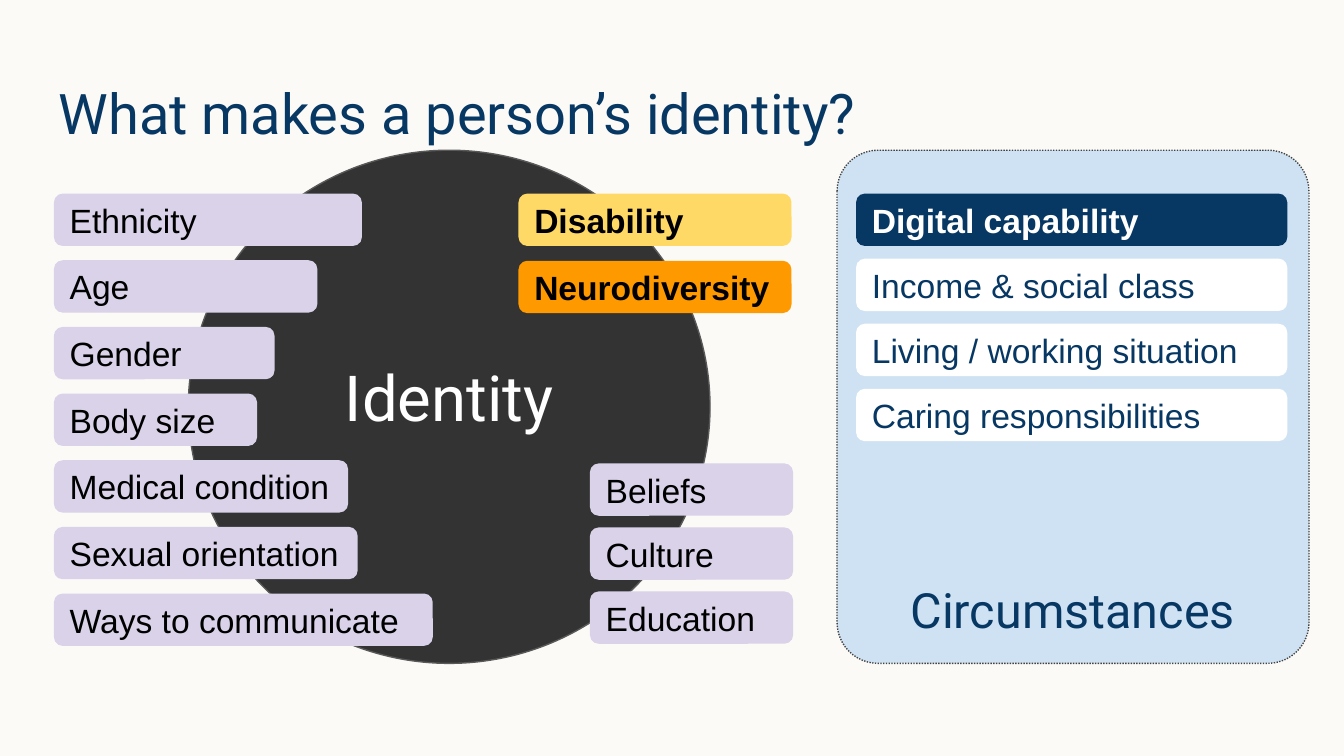
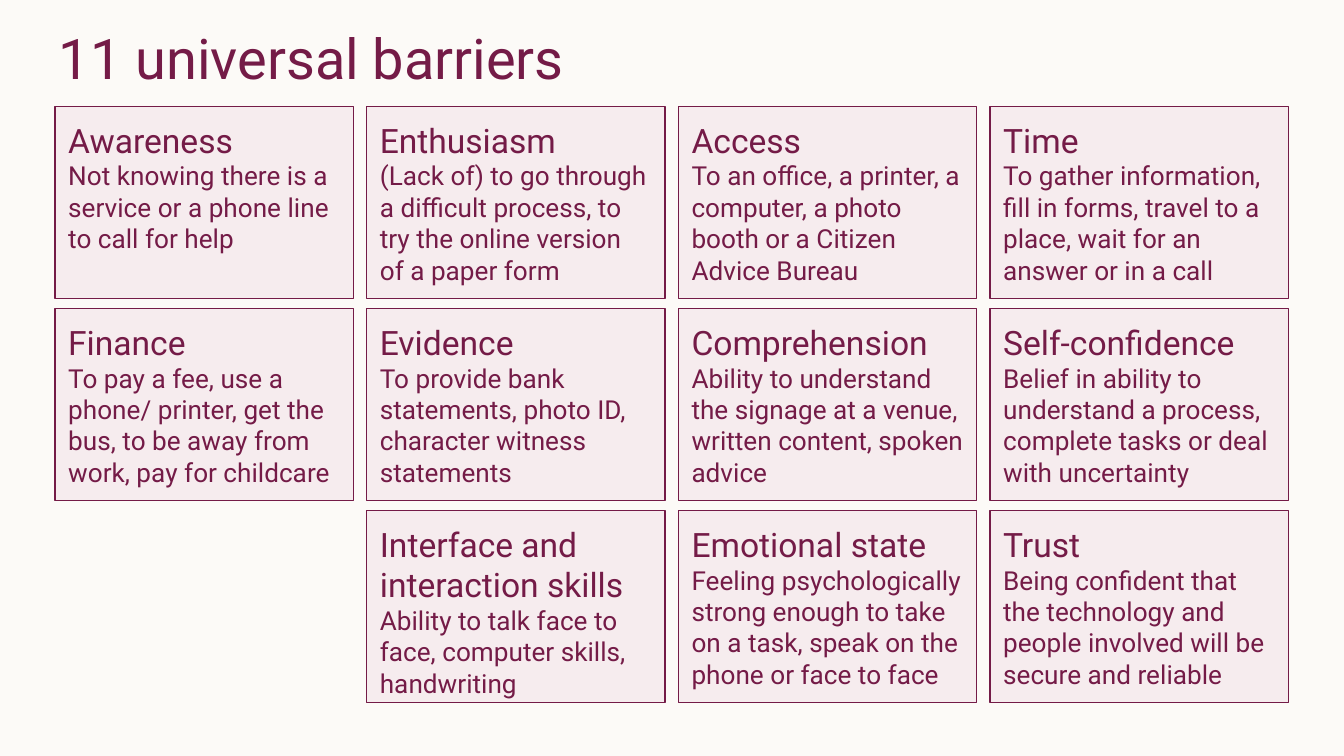
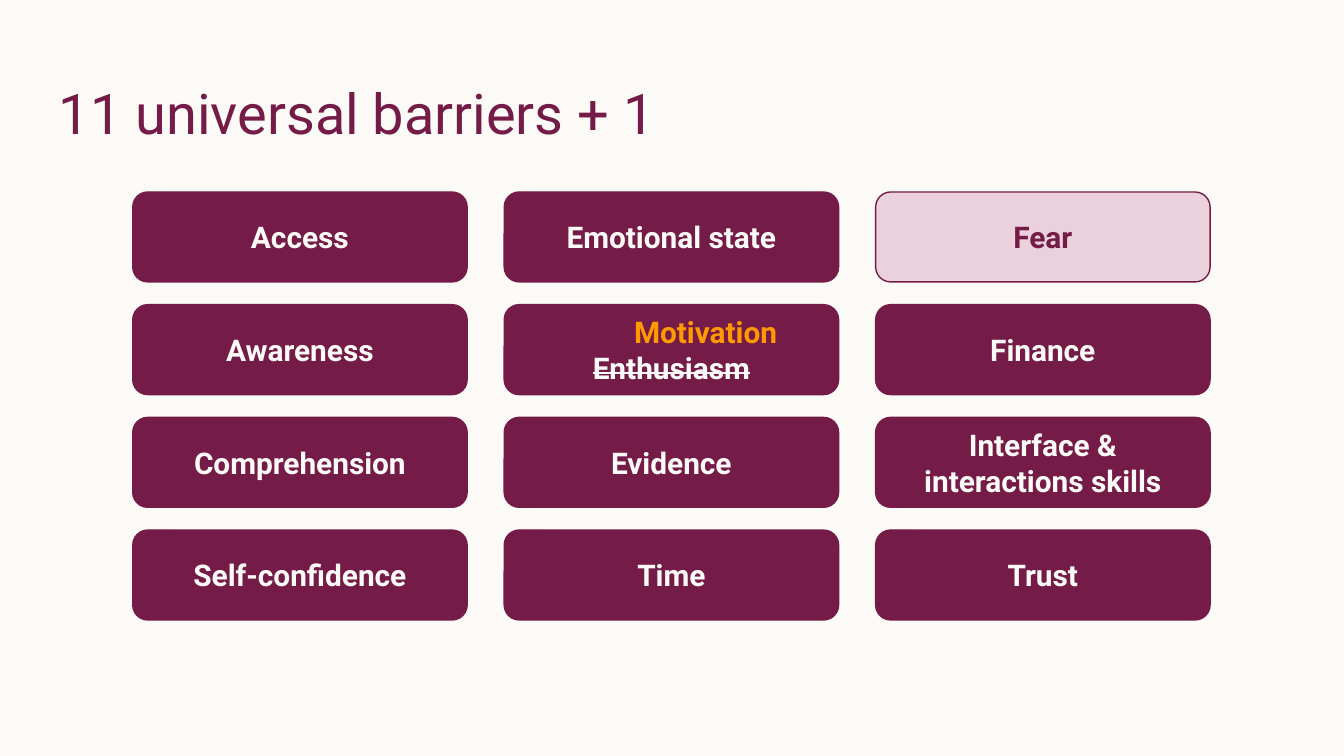
from dataclasses import dataclass

from lxml import etree
from pptx import Presentation
from pptx import util as u
from pptx.dml.color import RGBColor
from pptx.enum import dml, shapes, text
from pptx.oxml.ns import qn


@dataclass(frozen=True)
class Theme:
    paper: str = "FCFAF7"
    white: str = "FFFFFF"
    black: str = "000000"
    charcoal: str = "333333"
    grey: str = "595959"
    dark_grey: str = "434343"
    navy: str = "073763"
    sky: str = "CFE2F3"
    lilac: str = "D9D2E9"
    yellow: str = "FFD966"
    orange: str = "FF9900"
    plum: str = "741B47"
    pink: str = "EAD1DC"
    heading_font: str = "Roboto"
    label_font: str = "Arial"
    title_size: int = 30
    circle_size: int = 34
    panel_size: int = 26
    label_size: int = 18
    button_size: int = 16
    body_size: int = 14
    line_width: float = 0.75
    inset: float = 0.25


THEME = Theme()
LEFT, CENTER = text.PP_ALIGN.LEFT, text.PP_ALIGN.CENTER
TOP, MIDDLE, BOTTOM = (text.MSO_ANCHOR.TOP, text.MSO_ANCHOR.MIDDLE,
                       text.MSO_ANCHOR.BOTTOM)
RECTANGLE = shapes.MSO_SHAPE.RECTANGLE
ROUNDED = shapes.MSO_SHAPE.ROUNDED_RECTANGLE

# Slide content
LEFT_TRAITS = [("Ethnicity", 5.82), ("Age", 4.98), ("Gender", 4.17),
               ("Body size", 3.84), ("Medical condition", 5.56),
               ("Sexual orientation", 5.74), ("Ways to communicate", 7.16)]
RIGHT_TRAITS = ["Beliefs", "Culture", "Education"]
CIRCUMSTANCES = ["Digital capability", "Income & social class",
                 "Living / working situation", "Caring responsibilities"]
BARRIER_ROWS = [
    [("Awareness", "Not knowing there is a service or a phone line to call for help"),
     ("Enthusiasm", "(Lack of) to go through a difficult process, to try the online "
                    "version of a paper form"),
     ("Access", "To an office, a printer, a computer, a photo booth or a Citizen "
                "Advice Bureau"),
     ("Time", "To gather information, fill in forms, travel to a place, wait for an "
              "answer or in a call")],
    [("Finance", "To pay a fee, use a phone/ printer, get the bus, to be away from "
                 "work, pay for childcare"),
     ("Evidence", "To provide bank statements, photo ID, character witness statements"),
     ("Comprehension", "Ability to understand the signage at a venue, written content, "
                       "spoken advice"),
     ("Self-confidence", "Belief in ability to understand a process, complete tasks or "
                         "deal with uncertainty")],
    [None,
     ("Interface and interaction skills", "Ability to talk face to face, computer "
                                          "skills, handwriting"),
     ("Emotional state", "Feeling psychologically strong enough to take on a task, "
                         "speak on the phone or face to face"),
     ("Trust", "Being confident that the technology and people involved will be secure "
               "and reliable")],
]
BUTTON_ROWS = [["Access", "Emotional state", "Fear"],
               ["Awareness", "Motivation\nEnthusiasm", "Finance"],
               ["Comprehension", "Evidence", "Interface & interactions skills"],
               ["Self-confidence", "Time", "Trust"]]


# Element builders
def rgb(color):
    return RGBColor.from_string(color)


def write(shape, content, size, color, font=THEME.heading_font, bold=False,
          align=LEFT, anchor=MIDDLE):
    frame = shape.text_frame
    frame.text = content
    frame.word_wrap = True
    frame.vertical_anchor = anchor
    frame.margin_left = frame.margin_right = u.Cm(THEME.inset)
    frame.margin_top = frame.margin_bottom = u.Cm(THEME.inset)
    for paragraph in frame.paragraphs:
        paragraph.alignment = align
        for run in paragraph.runs:
            run.font.name = font
            run.font.size = u.Pt(size)
            run.font.bold = bold
            run.font.color.rgb = rgb(color)
    return frame


def add_box(slide, kind, left, top, width, height, fill, line=None, corner=None):
    shape = slide.shapes.add_shape(kind, u.Cm(left), u.Cm(top), u.Cm(width),
                                   u.Cm(height))
    shape.shadow.inherit = False
    shape.fill.solid()
    shape.fill.fore_color.rgb = rgb(fill)
    if line:
        shape.line.color.rgb = rgb(line)
        shape.line.width = u.Pt(THEME.line_width)
    else:
        shape.line.fill.background()
    if corner:
        shape.adjustments[0] = corner
    return shape


def set_opacity(shape, percent):
    color = shape.fill._xPr.find(qn("a:solidFill"))[0]
    etree.SubElement(color, qn("a:alpha")).set("val", str(percent * 1000))


def add_title(slide, content, color, top=1.24, height=1.6):
    box = slide.shapes.add_textbox(u.Cm(0.86), u.Cm(top), u.Cm(23.67), u.Cm(height))
    write(box, content, THEME.title_size, color, anchor=TOP)


def add_label(slide, content, left, top, width, fill=THEME.lilac,
              color=THEME.black, bold=False):
    shape = add_box(slide, ROUNDED, left, top, width, 0.99, fill, corner=0.167)
    write(shape, content, THEME.label_size, color, THEME.label_font, bold)


def add_barrier_card(slide, name, description, left, top):
    card = add_box(slide, RECTANGLE, left, top, 5.64, 3.63, THEME.pink, THEME.plum)
    set_opacity(card, 32)
    frame = write(card, f"{name}\n{description}", THEME.label_size, THEME.plum,
                  anchor=TOP)
    frame.paragraphs[1].runs[0].font.size = u.Pt(THEME.body_size)


def add_button(slide, content, left, top, fill, color):
    shape = add_box(slide, ROUNDED, left, top, 6.32, 1.7, fill, THEME.plum, 0.167)
    return write(shape, content, THEME.button_size, color, bold=True, align=CENTER)


def mark_replacement(frame):
    """Highlight the new word above and strike out the old one below."""
    new, old = frame.paragraphs
    new.alignment = LEFT
    new._p.get_or_add_pPr().set("marL", str(u.Cm(2.12)))
    new.runs[0].font.color.rgb = rgb(THEME.orange)
    old.runs[0]._r.get_or_add_rPr().set("strike", "sngStrike")


# Slides
def build_identity(slide):
    add_title(slide, "What makes a person’s identity?", THEME.navy)
    circle = add_box(slide, shapes.MSO_SHAPE.OVAL, 3.56, 2.84, 9.86, 9.7,
                     THEME.charcoal, THEME.grey)
    frame = write(circle, "Identity", THEME.circle_size, THEME.white, align=CENTER)
    frame.margin_bottom = u.Cm(0.67)

    first_top = 3.66
    add_label(slide, "Disability", 9.8, first_top, 5.16, THEME.yellow, bold=True)
    add_label(slide, "Neurodiversity", 9.8, first_top + 1.27, 5.16, THEME.orange,
              bold=True)
    for row, (trait, width) in enumerate(LEFT_TRAITS):
        add_label(slide, trait, 1.02, first_top + row * 1.26, width)
    for row, trait in enumerate(RIGHT_TRAITS):
        add_label(slide, trait, 11.15, 8.76 + row * 1.21, 3.84)

    panel = add_box(slide, ROUNDED, 15.82, 2.84, 8.92, 9.7, THEME.sky,
                    THEME.dark_grey, 0.087)
    panel.line.dash_style = dml.MSO_LINE.ROUND_DOT
    write(panel, "Circumstances", THEME.panel_size, THEME.navy, align=CENTER,
          anchor=BOTTOM)
    for row, circumstance in enumerate(CIRCUMSTANCES):
        key = row == 0
        add_label(slide, circumstance, 16.18, first_top + row * 1.23, 8.15,
                  THEME.navy if key else THEME.white,
                  THEME.white if key else THEME.navy, key)


def build_barriers(slide):
    add_title(slide, "11 universal barriers", THEME.plum, top=0.2, height=1.42)
    for row, barriers in enumerate(BARRIER_ROWS):
        for column, barrier in enumerate(barriers):
            if barrier:
                add_barrier_card(slide, *barrier, 1.04 + column * 5.89,
                                 2.01 + row * 3.82)


def build_barriers_plus_one(slide):
    add_title(slide, "11 universal barriers + 1", THEME.plum)
    for row, names in enumerate(BUTTON_ROWS):
        for column, name in enumerate(names):
            added = name == "Fear"
            frame = add_button(slide, name, 2.51 + column * 7.02, 3.63 + row * 2.13,
                               THEME.pink if added else THEME.plum,
                               THEME.plum if added else THEME.paper)
            if "\n" in name:
                mark_replacement(frame)


def main():
    presentation = Presentation()
    presentation.slide_width = u.Cm(25.4)
    presentation.slide_height = u.Cm(14.29)
    background = presentation.slide_master.background.fill
    background.solid()
    background.fore_color.rgb = rgb(THEME.paper)
    blank = presentation.slide_layouts[6]
    for build in (build_identity, build_barriers, build_barriers_plus_one):
        build(presentation.slides.add_slide(blank))
    presentation.save("out.pptx")


if __name__ == "__main__":
    main()
